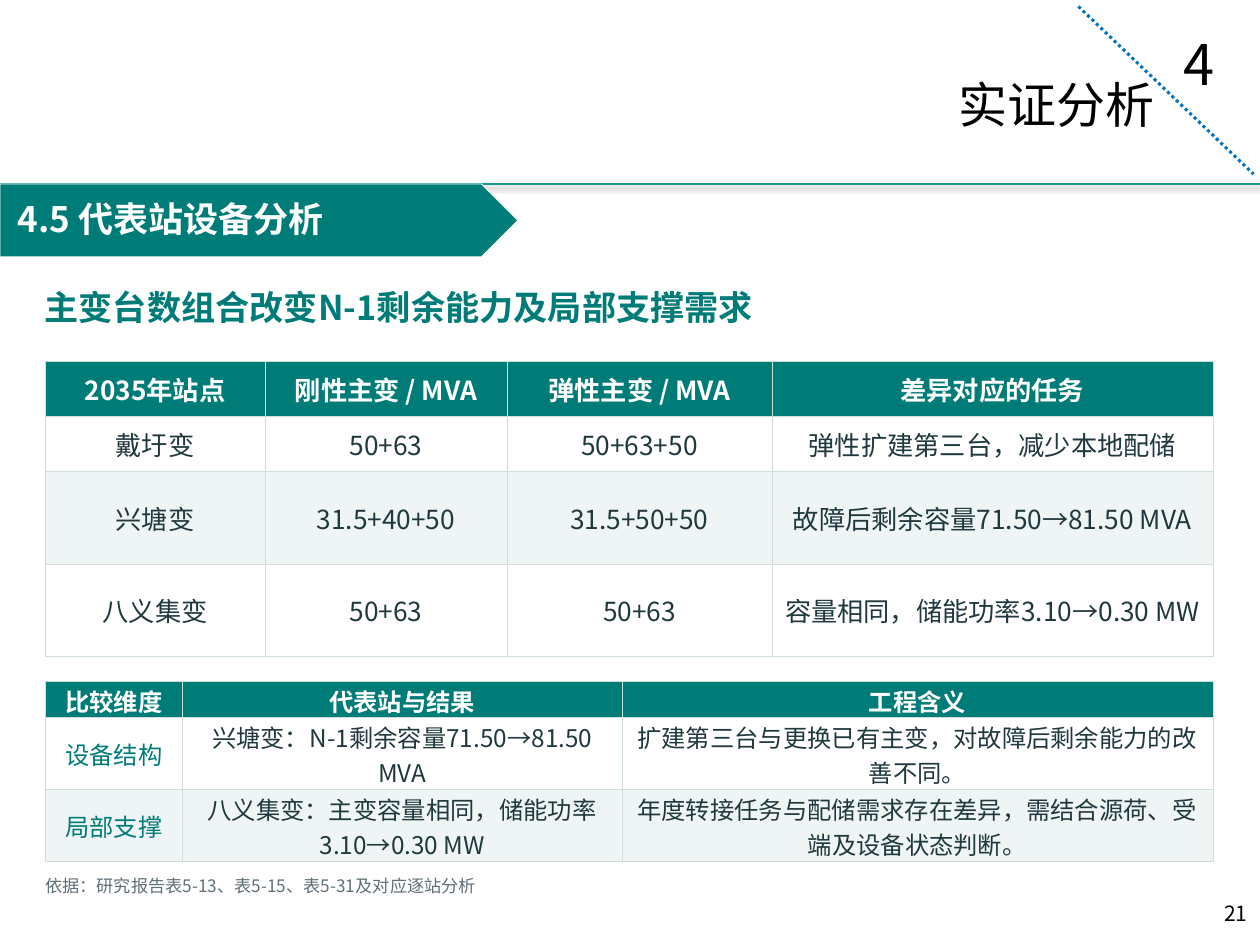
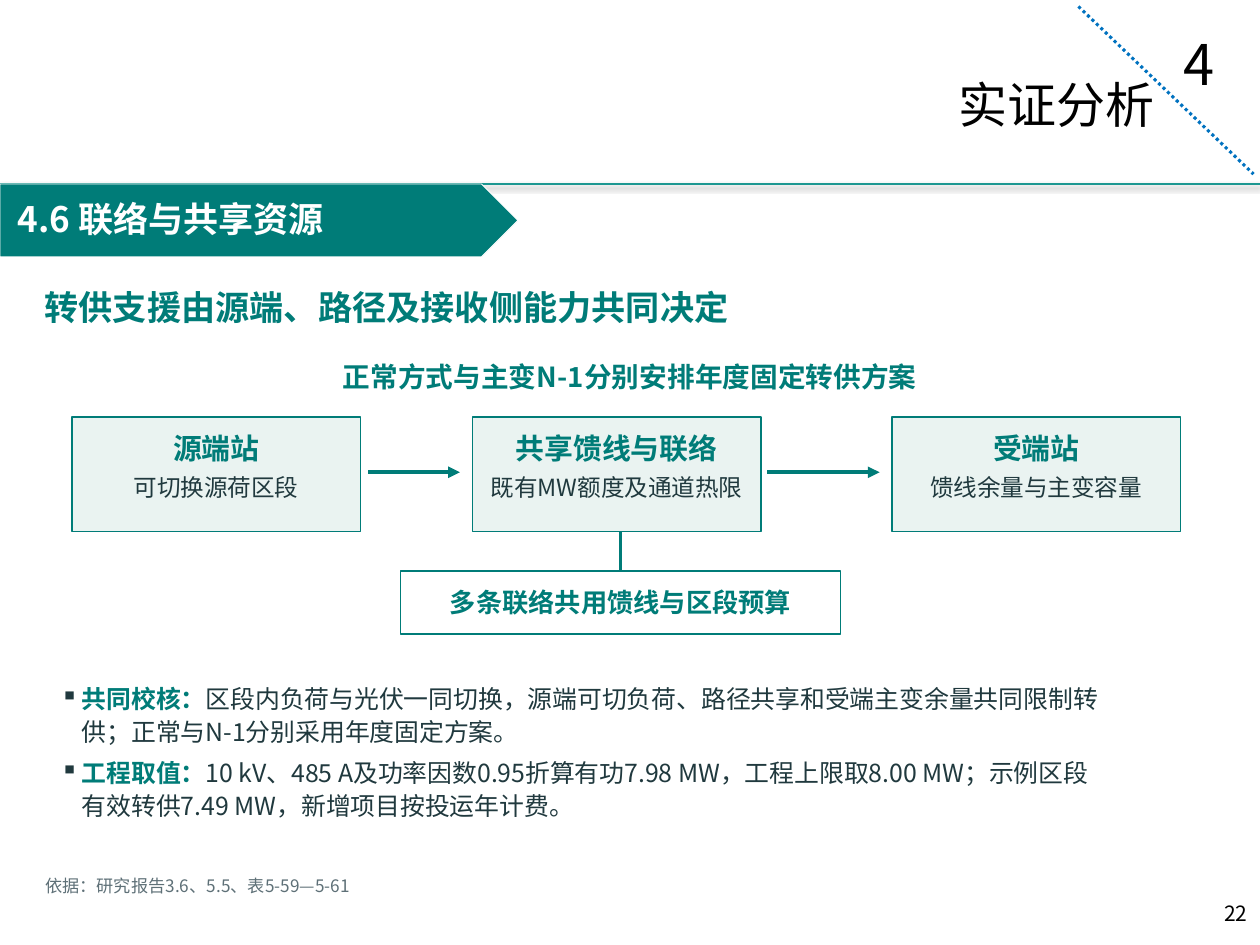
from lxml import etree
from pptx import Presentation
from pptx.dml.color import RGBColor
from pptx.enum.dml import MSO_LINE
from pptx.enum.shapes import MSO_CONNECTOR, MSO_SHAPE
from pptx.enum.text import MSO_ANCHOR, PP_ALIGN
from pptx.oxml.ns import qn
from pptx.util import Cm, Pt

STRAIGHT = MSO_CONNECTOR.STRAIGHT
RECT, BANNER = MSO_SHAPE.RECTANGLE, MSO_SHAPE.PENTAGON
LEFT, CENTER, RIGHT = PP_ALIGN.LEFT, PP_ALIGN.CENTER, PP_ALIGN.RIGHT
TOP, MIDDLE = MSO_ANCHOR.TOP, MSO_ANCHOR.MIDDLE
DOTTED = MSO_LINE.ROUND_DOT

FONT = "Noto Sans CJK SC"
COLORS = {
    "teal": "007C78", "rule": "1C9791", "diagonal": "0072C0", "ink": "20393E",
    "source": "5E7077", "card": "EAF3F1", "stripe": "EFF5F4", "grid": "D0DEDB",
    "white": "FFFFFF", "black": "000000",
}
STYLES = {
    "number": ("black", {"size": Pt(32)}),
    "section": ("black", {"size": Pt(28)}),
    "page": ("black", {"size": Pt(12)}),
    "banner": ("white", {"size": Pt(20), "bold": True}),
    "headline": ("teal", {"size": Pt(19.5), "bold": True}),
    "source": ("source", {"size": Pt(9.8)}),
    "caption": ("teal", {"size": Pt(15.8), "bold": True}),
    "card_title": ("teal", {"size": Pt(16.5), "bold": True}),
    "card_body": ("ink", {"size": Pt(13.5)}),
    "budget": ("teal", {"size": Pt(15), "bold": True}),
    "lead": ("teal", {"size": Pt(14.2), "bold": True}),
    "bullet": ("ink", {"size": Pt(14.2)}),
}
MARGIN, CONTENT_W = 0.91, 23.54
CARD_W, CARD_H, CARD_Y = 5.82, 2.31, 8.41

STATIONS = [
    ["2035年站点", "刚性主变 / MVA", "弹性主变 / MVA", "差异对应的任务"],
    ["戴圩变", "50+63", "50+63+50", "弹性扩建第三台，减少本地配储"],
    ["兴塘变", "31.5+40+50", "31.5+50+50", "故障后剩余容量71.50→81.50 MVA"],
    ["八义集变", "50+63", "50+63", "容量相同，储能功率3.10→0.30 MW"],
]
FINDINGS = [
    ["比较维度", "代表站与结果", "工程含义"],
    ["设备结构", "兴塘变：N-1剩余容量71.50→81.50 MVA",
     "扩建第三台与更换已有主变，对故障后剩余能力的改善不同。"],
    ["局部支撑", "八义集变：主变容量相同，储能功率3.10→0.30 MW",
     "年度转接任务与配储需求存在差异，需结合源荷、受端及设备状态判断。"],
]
CARDS = [
    (1.45, "源端站", "可切换源荷区段"),
    (9.52, "共享馈线与联络", "既有MW额度及通道热限"),
    (17.98, "受端站", "馈线余量与主变容量"),
]
ARROWS = [(7.42, 9.27), (15.47, 17.73)]
BULLETS = [
    ("共同校核：", ["区段内负荷与光伏一同切换，源端可切负荷、路径共享和受端主变余量共同限制转",
                "供；正常与N-1分别采用年度固定方案。"]),
    ("工程取值：", ["10 kV、485 A及功率因数0.95折算有功7.98 MW，工程上限取8.00 MW；示例区段",
                "有效转供7.49 MW，新增项目按投运年计费。"]),
]


def rgb(name):
    """Return the named colour."""
    return RGBColor.from_string(COLORS[name])


def sub(parent, tag, **attrs):
    """Append an XML child and return it."""
    return etree.SubElement(parent, qn(tag), {k: str(v) for k, v in attrs.items()})


def add_run(p, text, color, fmt):
    """Add a formatted run to a paragraph."""
    r = p.add_run()
    r.text = text
    r.font.color.rgb = rgb(color)
    for key, value in {"name": FONT, **fmt}.items():
        setattr(r.font, key, value)
    sub(r.font._element, "a:ea", typeface=FONT)


def set_frame(tf, insets=(0, 0, 0, 0), anchor=TOP):
    """Set the wrapping, insets in cm and anchor of a text frame."""
    sides = ("margin_left", "margin_top", "margin_right", "margin_bottom")
    for side, inset in zip(sides, insets):
        setattr(tf, side, Cm(inset))
    tf.word_wrap = True
    tf.vertical_anchor = anchor


def add_text(s, text, style, box, align=LEFT, insets=(0, 0, 0, 0)):
    """Add a one-paragraph text box."""
    tf = s.shapes.add_textbox(*map(Cm, box)).text_frame
    set_frame(tf, insets)
    p = tf.paragraphs[0]
    p.alignment = align
    add_run(p, text, *STYLES[style])


def add_box(s, kind, box, fill, line, width, lines, align=CENTER, **frame):
    """Add a filled shape holding (text, style) paragraphs."""
    sp = s.shapes.add_shape(kind, *map(Cm, box))
    sp.shadow.inherit = False
    sp.fill.solid()
    sp.fill.fore_color.rgb = rgb(fill)
    sp.line.color.rgb = rgb(line)
    sp.line.width = Pt(width)
    tf = sp.text_frame
    set_frame(tf, **frame)
    for i, (text, style) in enumerate(lines):
        p = tf.add_paragraph() if i else tf.paragraphs[0]
        p.alignment = align
        if i:
            p.space_before = Pt(4)
        add_run(p, text, *STYLES[style])
    return sp


def add_line(s, ends, color, width, dash=None, arrow=False):
    """Add a straight connector and return it with its effect list."""
    c = s.shapes.add_connector(STRAIGHT, *map(Cm, ends))
    c.line.color.rgb = rgb(color)
    c.line.width = Pt(width)
    if dash:
        c.line.dash_style = dash
    if arrow:
        sub(c.line._get_or_add_ln(), "a:tailEnd", type="triangle")
    return c, sub(c._element.spPr, "a:effectLst")


def set_cell(cell, text, color, fill, bold, size, insets):
    """Fill, border and write one table cell."""
    tc_pr = cell._tc.get_or_add_tcPr()
    for side in ("a:lnL", "a:lnR", "a:lnT", "a:lnB"):
        ln = sub(tc_pr, side, w=Pt(0.45))
        sub(sub(ln, "a:solidFill"), "a:srgbClr", val=COLORS["grid"])
    cell.fill.solid()
    cell.fill.fore_color.rgb = rgb(fill)
    set_frame(cell.text_frame, (0, 0, 0, 0), MIDDLE)
    for side, inset in zip(("left", "right", "top", "bottom"), insets):
        setattr(cell, "margin_" + side, Cm(inset))
    cell.vertical_anchor = MIDDLE
    p = cell.text_frame.paragraphs[0]
    p.alignment = CENTER
    add_run(p, text, color, {"size": Pt(size), "bold": bold})


def add_grid(s, rows, top, widths, heights, size, insets, label="ink"):
    """Add a table with a teal header and striped body."""
    box = (MARGIN, top, CONTENT_W, sum(heights))
    table = s.shapes.add_table(len(rows), len(widths), *map(Cm, box)).table
    for column, width in zip(table.columns, widths):
        column.width = Cm(width)
    for i, (texts, height) in enumerate(zip(rows, heights)):
        table.rows[i].height = Cm(height)
        fill = "teal" if i == 0 else ("stripe" if i % 2 == 0 else "white")
        for j, text in enumerate(texts):
            color = "white" if i == 0 else (label if j == 0 else "ink")
            set_cell(table.cell(i, j), text, color, fill, i == 0, size, insets)


def add_bullets(s, items, box):
    """Add a bulleted list with bold lead-ins and fixed line breaks."""
    tf = s.shapes.add_textbox(*map(Cm, box)).text_frame
    set_frame(tf)
    for i, (lead, lines) in enumerate(items):
        p = tf.add_paragraph() if i else tf.paragraphs[0]
        p_pr = p._p.get_or_add_pPr()
        p_pr.set("marL", str(Cm(0.43)))
        p_pr.set("indent", str(-Cm(0.43)))
        sub(sub(p_pr, "a:buClr"), "a:srgbClr", val=COLORS["ink"])
        sub(p_pr, "a:buChar", char="▪")
        p.line_spacing = Pt(18.8)
        if i:
            p.space_before = Pt(4.5)
        add_run(p, lead, *STYLES["lead"])
        for j, line in enumerate(lines):
            if j:
                p.add_line_break()
            add_run(p, line, *STYLES["bullet"])


def add_base(prs, page, banner, headline, source):
    """Add a slide with the shared header, banner, headline and footers."""
    s = prs.slides.add_slide(prs.slide_layouts[6])
    _, effects = add_line(s, (0, 3.71, 25.4, 3.71), "rule", 1.5)
    shadow = sub(effects, "a:outerShdw", blurRad=Pt(3.1), dist=Pt(1.8),
                 dir=5400000, rotWithShape=0)
    sub(sub(shadow, "a:srgbClr", val=COLORS["black"]), "a:alpha", val=35000)
    add_text(s, "4", "number", (23.6, 0.46, 1.2, 1.63), insets=(0.25, 0.13, 0, 0))
    right = {"align": RIGHT, "insets": (0, 0.13, 0.25, 0)}
    add_text(s, "实证分析", "section", (12.65, 1.37, 10.87, 1.45), **right)
    add_line(s, (21.74, 0.13, 25.27, 3.51), "diagonal", 1.75, dash=DOTTED)
    add_text(s, str(page), "page", (19.69, 18.03, 5.71, 1.02), **right)
    add_box(s, BANNER, (0, 3.71, 10.44, 1.47), "teal", "white", 0.5,
            [(banner, "banner")], LEFT, insets=(0.36, 0.28, 0, 0))
    add_text(s, headline, "headline", (0.9, 5.77, CONTENT_W, 1.07))
    add_text(s, source, "source", (MARGIN, 17.65, 15, 0.53))
    return s


def build_equipment(prs):
    """Build the slide on equipment at the representative stations."""
    s = add_base(prs, 21, "4.5 代表站设备分析", "主变台数组合改变N-1剩余能力及局部支撑需求",
                 "依据：研究报告表5-13、表5-15、表5-31及对应逐站分析")
    add_grid(s, STATIONS, 7.28, (4.43, 4.88, 5.34, 8.89), (1.11, 1.11, 1.87, 1.87),
             15, (0.08, 0.08, 0.08, 0.08))
    add_grid(s, FINDINGS, 13.74, (2.77, 8.86, 11.91), (0.73, 1.45, 1.45),
             13.9, (0.15, 0.15, 0.03, 0.03), label="teal")


def build_sharing(prs):
    """Build the slide on ties and shared resources."""
    s = add_base(prs, 22, "4.6 联络与共享资源", "转供支援由源端、路径及接收侧能力共同决定",
                 "依据：研究报告3.6、5.5、表5-59—5-61")
    add_text(s, "正常方式与主变N-1分别安排年度固定转供方案", "caption",
             (MARGIN, 7.26, 23.58, 0.86), CENTER)
    for left, title, body in CARDS:
        add_box(s, RECT, (left, CARD_Y, CARD_W, CARD_H), "card", "teal", 0.75,
                [(title, "card_title"), (body, "card_body")], insets=(0, 0.28, 0, 0))
    for start, end in ARROWS:
        add_line(s, (start, 9.52, end, 9.52), "teal", 2.25, arrow=True)
    budget = add_box(s, RECT, (8.08, 11.51, 8.86, 1.27), "white", "teal", 0.75,
                     [("多条联络共用馈线与区段预算", "budget")], anchor=MIDDLE)
    stem, _ = add_line(s, (12.51, CARD_Y + CARD_H, 12.51, 11.51), "teal", 1.5)
    stem.end_connect(budget, 0)
    add_bullets(s, BULLETS, (1.22, 13.72, 21.1, 3.4))


def main():
    """Build and save the presentation."""
    prs = Presentation()
    prs.slide_width, prs.slide_height = Cm(25.4), Cm(19.05)
    build_equipment(prs)
    build_sharing(prs)
    prs.save("out.pptx")


if __name__ == "__main__":
    main()
